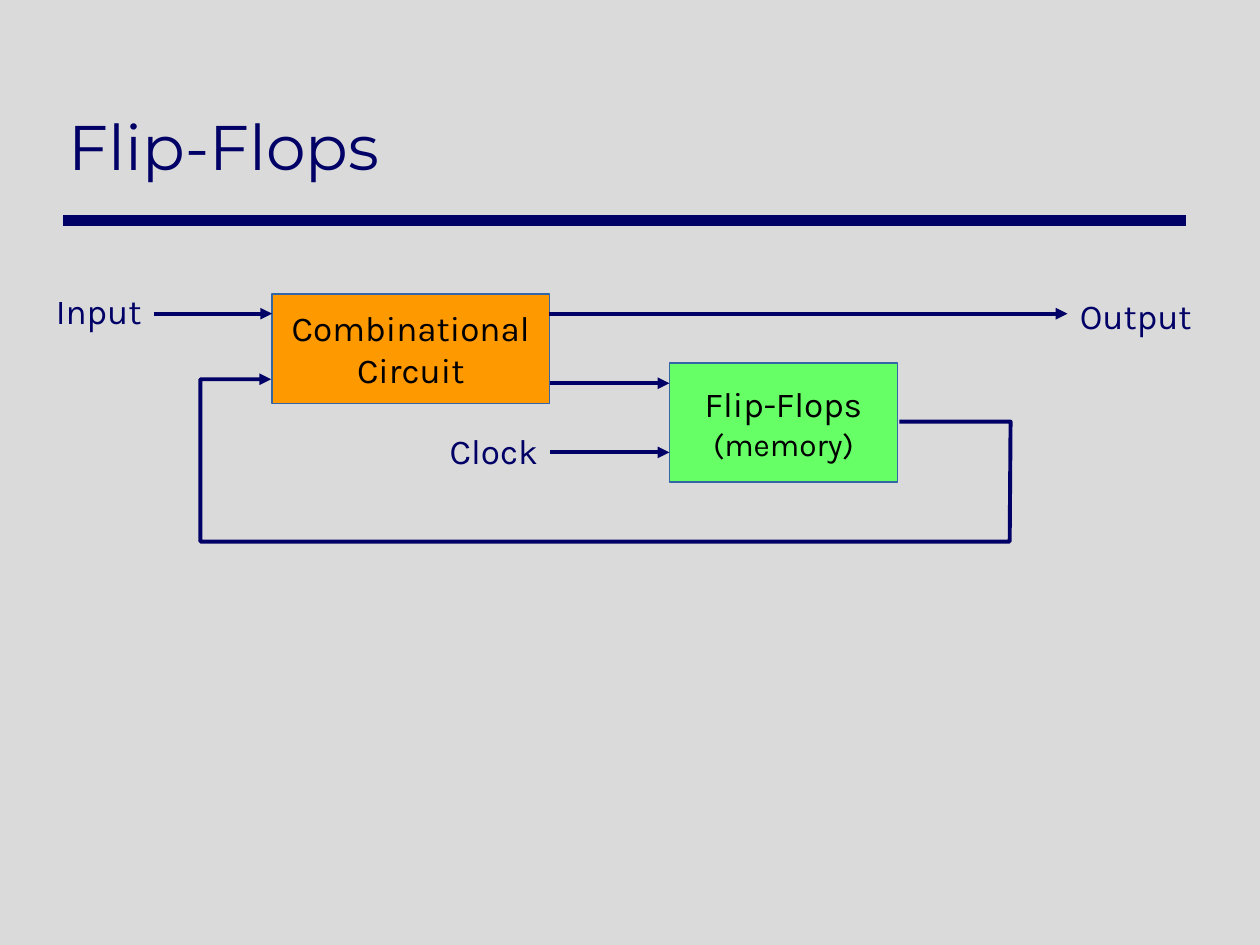
from lxml.etree import SubElement
from pptx import Presentation
from pptx.dml.color import RGBColor
from pptx.enum.shapes import MSO_CONNECTOR, MSO_SHAPE
from pptx.enum.text import MSO_ANCHOR, PP_ALIGN
from pptx.oxml.ns import qn
from pptx.util import Pt

NAVY = "000066"


def color(hex_string):
    return RGBColor.from_string(hex_string)


def style_line(shape, width, arrow=True):
    """Make the line navy and shadowless, with an arrowhead at its end if wanted."""
    shape.line.color.rgb = color(NAVY)
    shape.line.width = Pt(width)
    if arrow:
        SubElement(shape.line._get_or_add_ln(), qn("a:tailEnd"), type="triangle")
    SubElement(shape._element.spPr, qn("a:effectLst"))


deck = Presentation()
deck.slide_width, deck.slide_height = Pt(720), Pt(540)
page = deck.slides.add_slide(deck.slide_layouts[6])
page.background.fill.solid()
page.background.fill.fore_color.rgb = color("DADADA")

# Rule under the title
rule = page.shapes.add_connector(
    MSO_CONNECTOR.STRAIGHT, Pt(36), Pt(126), Pt(678), Pt(126))
style_line(rule, 6, arrow=False)

# Blocks: left, top, width, height, fill, lines with their sizes
blocks = [
    (155.5, 168, 158.5, 62.5, "FF9900", [("Combinational Circuit", 20)]),
    (382.5, 207.5, 130.5, 68, "66FF66", [("Flip-Flops", 20), ("(memory)", 18)]),
]
for left, top, width, height, fill, lines in blocks:
    block = page.shapes.add_shape(
        MSO_SHAPE.RECTANGLE, Pt(left), Pt(top), Pt(width), Pt(height))
    block.shadow.inherit = False
    block.fill.solid()
    block.fill.fore_color.rgb = color(fill)
    block.line.color.rgb = color("3465A4")
    block.line.width = Pt(0.75)
    frame = block.text_frame
    frame.word_wrap = True
    frame.vertical_anchor = MSO_ANCHOR.MIDDLE
    for index, (text, size) in enumerate(lines):
        paragraph = frame.add_paragraph() if index else frame.paragraphs[0]
        paragraph.text = text
        paragraph.alignment = PP_ALIGN.CENTER
        paragraph.font.name = "Karla"
        paragraph.font.size = Pt(size)
        paragraph.font.color.rgb = color("000000")

# Signal arrows: start, end, height on the page
signals = [
    (88, 155.5, 179.25),     # input
    (314, 610, 179.25),      # output
    (314.5, 382.5, 219),     # next state
    (314.5, 382.5, 258.5),   # clock
]
for start, end, y in signals:
    signal = page.shapes.add_connector(
        MSO_CONNECTOR.STRAIGHT, Pt(start), Pt(y), Pt(end), Pt(y))
    style_line(signal, 2.25)

# Feedback from the memory to the circuit
corners = [(577.5, 241), (577, 309.5), (114.5, 309.5), (114.5, 216.75), (155, 216.75)]
builder = page.shapes.build_freeform(Pt(514), Pt(241))
builder.add_line_segments([(Pt(x), Pt(y)) for x, y in corners], close=False)
feedback = builder.convert_to_shape()
feedback.fill.background()
style_line(feedback, 2.25)

# Title and labels: text, left, top, width, height, alignment, anchor, font, size
texts = [
    ("Flip-Flops", 32, 18, 646, 90, PP_ALIGN.LEFT, MSO_ANCHOR.BOTTOM, "Montserrat", 36),
    ("Input", 19.5, 162, 68.5, 31.5, PP_ALIGN.RIGHT, MSO_ANCHOR.TOP, "Karla", 20),
    ("Clock", 246, 242, 68.5, 31.5, PP_ALIGN.RIGHT, MSO_ANCHOR.TOP, "Karla", 20),
    ("Output", 610, 165, 96.5, 31.5, PP_ALIGN.LEFT, MSO_ANCHOR.TOP, "Karla", 20),
]
for text, left, top, width, height, alignment, anchor, font, size in texts:
    box = page.shapes.add_textbox(Pt(left), Pt(top), Pt(width), Pt(height))
    frame = box.text_frame
    frame.word_wrap = True
    frame.vertical_anchor = anchor
    paragraph = frame.paragraphs[0]
    paragraph.text = text
    paragraph.alignment = alignment
    paragraph.font.name = font
    paragraph.font.size = Pt(size)
    paragraph.font.color.rgb = color(NAVY)

deck.save("out.pptx")
